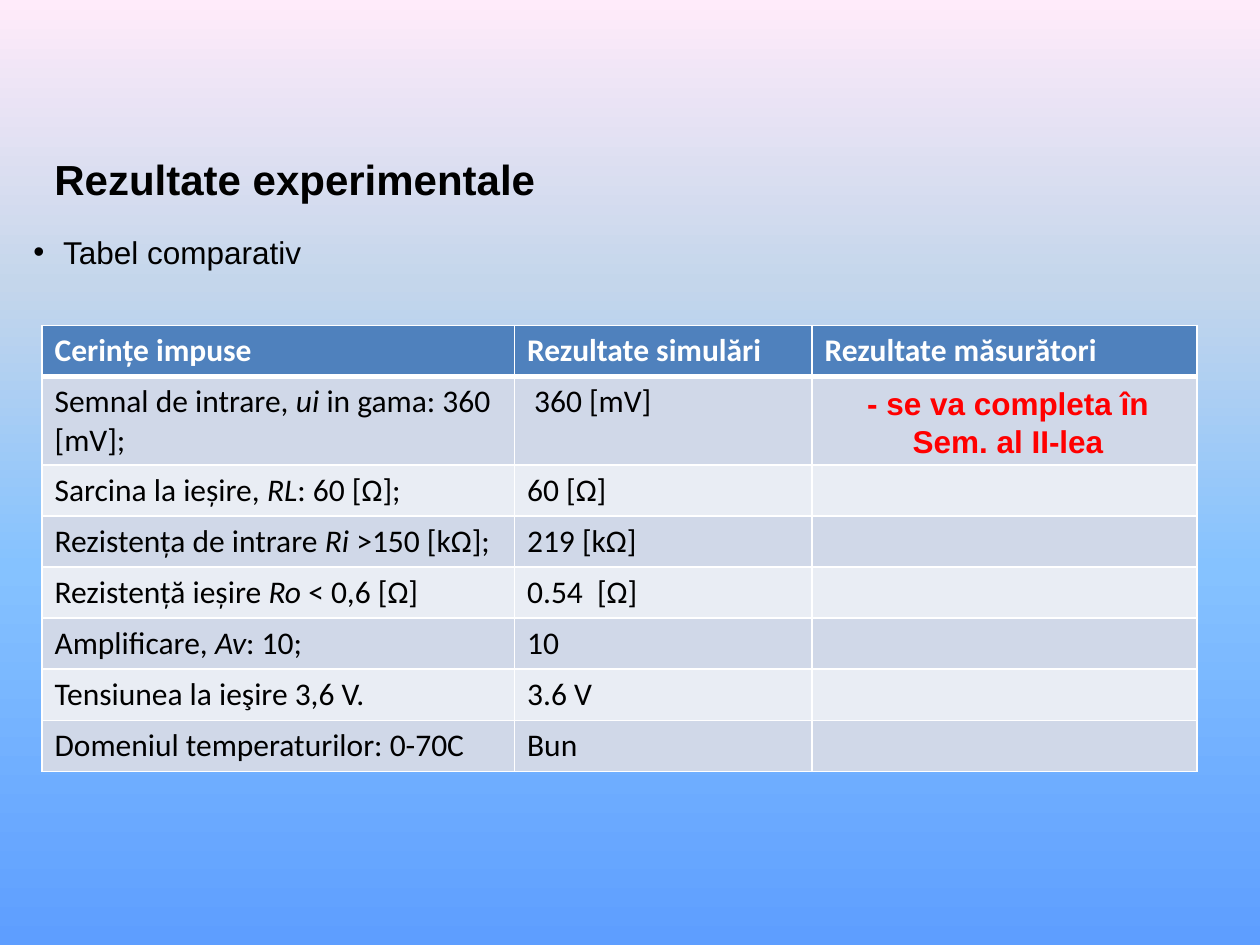
from lxml.etree import SubElement
from pptx import Presentation
from pptx.dml.color import RGBColor
from pptx.enum.text import MSO_ANCHOR as Anchor, PP_ALIGN as Align
from pptx.oxml.ns import qn
from pptx.util import Pt

BACKGROUND = [(0, "5E9EFF"), (40, "85C2FF"), (70, "C4D6EB"), (100, "FFEBFA")]
COLUMNS = [270, 170, 220]
ROW_HEIGHT = 29.2
HEADER_FILL, BANDS = "4F81BD", ("D0D8E8", "E9EDF4")
ROWS = [
    ("Cerințe impuse", "Rezultate simulări", "Rezultate măsurători"),
    ("Semnal de intrare, *ui *in gama: 360 [mV];", " 360 [mV]", ""),
    ("Sarcina la ieșire, *RL*: 60 [Ω];", "60 [Ω]", ""),
    ("Rezistența de intrare *Ri *>150 [kΩ];", "219 [kΩ]", ""),
    ("Rezistență ieșire *Ro *< 0,6 [Ω]", "0.54  [Ω]", ""),
    ("Amplificare, *Av*: 10;", "10", ""),
    ("Tensiunea la ieşire 3,6 V.", "3.6 V", ""),
    ("Domeniul temperaturilor: 0-70C", "Bun", ""),
]


def rgb(color):
    """Turn a hex string into a colour."""
    return RGBColor.from_string(color)


def add_run(p, text, font, size, color, bold=False, italic=False):
    """Add one formatted run to a paragraph."""
    r = p.add_run()
    r.text = text
    r.font.name, r.font.size = font, Pt(size)
    r.font.bold, r.font.italic = bold, italic
    r.font.color.rgb = rgb(color)


def add_text(slide, box, text, size, color="000000", bold=False,
             align=Align.LEFT, anchor=Anchor.MIDDLE):
    """Add a wrapped Arial text box and return its paragraph."""
    tf = slide.shapes.add_textbox(*map(Pt, box)).text_frame
    tf.word_wrap, tf.vertical_anchor = True, anchor
    p = tf.paragraphs[0]
    p.alignment = align
    add_run(p, text, "Arial", size, color, bold)
    return p


def add_bullet(p, indent):
    """Give a paragraph a round bullet with a hanging indent."""
    pPr = p._p.get_or_add_pPr()
    pPr.set("marL", str(Pt(indent)))
    pPr.set("indent", str(-Pt(indent)))
    SubElement(pPr, qn("a:buFont"), typeface="Arial")
    SubElement(pPr, qn("a:buChar"), char="•")


def set_background(slide):
    """Fill the background with a gradient that rises from the bottom."""
    fill = slide.background.fill
    fill.gradient()
    fill.gradient_angle = 90
    stops = next(slide.element.iter(qn("a:gsLst")))
    for stop in list(stops):
        stops.remove(stop)
    for percent, color in BACKGROUND:
        stop = SubElement(stops, qn("a:gs"), pos=str(percent * 1000))
        SubElement(stop, qn("a:srgbClr"), val=color)


def set_borders(cell, top, bottom):
    """Draw white borders around a cell."""
    tcPr = cell._tc.get_or_add_tcPr()
    for side, width in zip("LRTB", (1, 1, top, bottom)):
        line = SubElement(tcPr, qn(f"a:ln{side}"), w=str(Pt(width)))
        SubElement(SubElement(line, qn("a:solidFill")), qn("a:srgbClr"), val="FFFFFF")


def fill_cell(cell, text, row):
    """Style a cell and write its text, with italics between asterisks."""
    header = row == 0
    set_borders(cell, 3 if row == 1 else 1, 3 if header else 1)
    cell.fill.solid()
    cell.fill.fore_color.rgb = rgb(HEADER_FILL if header else BANDS[(row - 1) % 2])
    p = cell.text_frame.paragraphs[0]
    for i, part in enumerate(text.split("*") if text else []):
        add_run(p, part, "Calibri", 18, "FFFFFF" if header else "000000",
                bold=header, italic=i % 2 == 1)


def add_comparison_table(slide, left, top):
    """Add the table of requirements and results."""
    table = slide.shapes.add_table(
        len(ROWS), len(COLUMNS), Pt(left), Pt(top),
        Pt(sum(COLUMNS)), Pt(ROW_HEIGHT * len(ROWS))).table
    for column, width in zip(table.columns, COLUMNS):
        column.width = Pt(width)
    for i, texts in enumerate(ROWS):
        table.rows[i].height = Pt(ROW_HEIGHT)
        for j, text in enumerate(texts):
            fill_cell(table.cell(i, j), text, i)


def main():
    """Build the slide and save it."""
    prs = Presentation()
    prs.slide_width, prs.slide_height = Pt(720), Pt(540)
    s = prs.slides.add_slide(prs.slide_layouts[6])
    set_background(s)
    add_text(s, (24, 84, 612, 36), "Rezultate experimentale", 24, bold=True)
    p = add_text(s, (12, 126, 672, 36), "Tabel comparativ", 18, align=Align.JUSTIFY)
    add_bullet(p, 17)
    add_comparison_table(s, 24, 186)
    add_text(s, (468, 216, 216, 51), "- se va completa în Sem. al II-lea", 18,
             "FF0000", bold=True, align=Align.CENTER, anchor=Anchor.TOP)
    prs.save("out.pptx")


if __name__ == "__main__":
    main()
